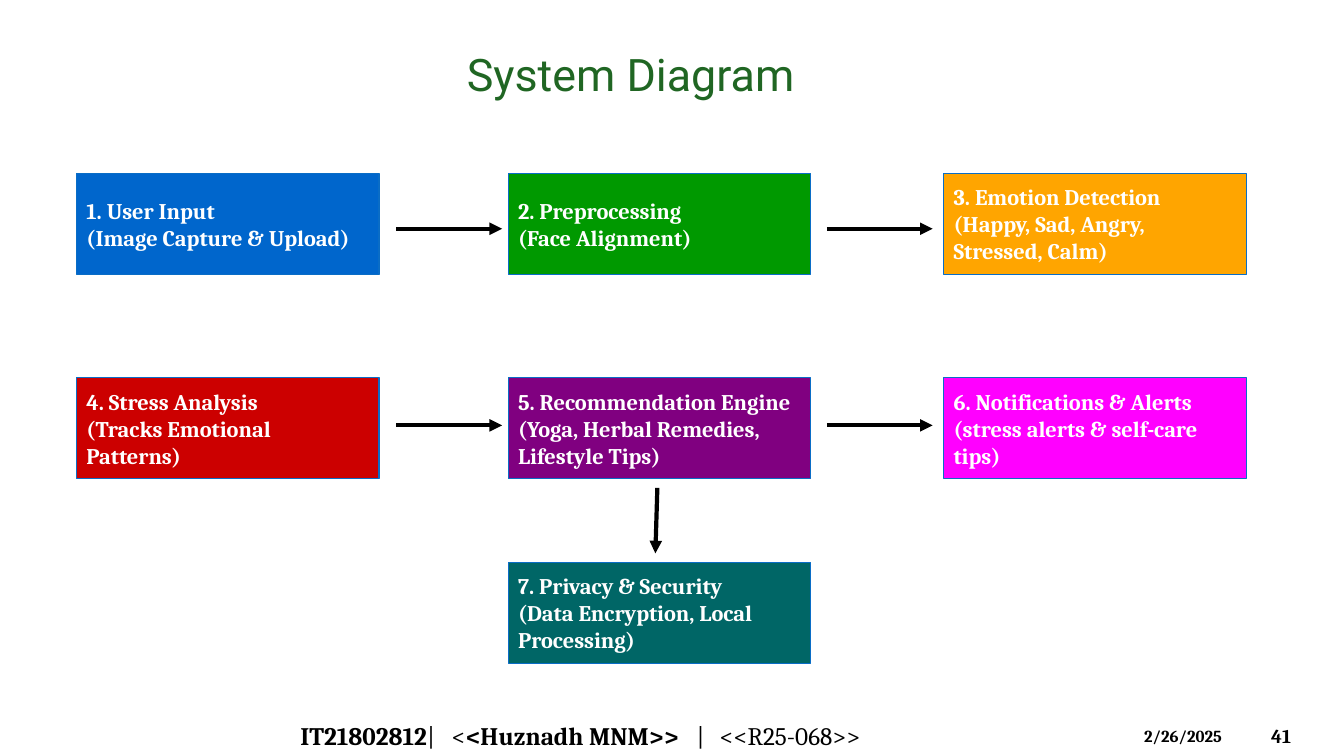
"""Build the System Diagram slide."""
import pptx
import pptx.dml.color
import pptx.enum.shapes
import pptx.enum.text
import pptx.oxml
import pptx.oxml.ns
import pptx.util

SCALE = 9144
ANCHOR = pptx.enum.text.MSO_ANCHOR
ALIGN = pptx.enum.text.PP_ALIGN
SHAPE = pptx.enum.shapes.MSO_SHAPE
LINK = pptx.enum.shapes.MSO_CONNECTOR


def px(*sizes):
    return [pptx.util.Emu(size * SCALE) for size in sizes]


def color(code):
    return pptx.dml.color.RGBColor.from_string(code)


def apply(target, values):
    for name, value in values.items():
        setattr(target, name, value)


def add_xml(parent, tag, attrs="", inner=""):
    space = pptx.oxml.ns.nsdecls("a")
    parent.append(pptx.oxml.parse_xml(f"<a:{tag} {space} {attrs}>{inner}</a:{tag}>"))


class Canvas:
    body = "Cambria"
    black, white, edge, green = "000000", "FFFFFF", "0A6DC6", "206623"

    def __init__(self, deck):
        self.slide = deck.slides.add_slide(deck.slide_layouts[5])

    def style(self, run, size, code, bold=True, name=body):
        apply(run.font, {"size": pptx.util.Pt(size), "name": name, "bold": bold})
        run.font.color.rgb = color(code)

    def title(self, text, *place):
        title = self.slide.shapes.title
        apply(title, dict(zip(("left", "top", "width", "height"), px(*place))))
        frame = title.text_frame
        frame.text = text
        apply(frame, {"vertical_anchor": ANCHOR.TOP, "word_wrap": True})
        line = frame.paragraphs[0]
        line.alignment = ALIGN.LEFT
        self.style(line.runs[0], 32, self.green, False, "Roboto")

    def box(self, text, fill, left, top):
        box = self.slide.shapes.add_shape(SHAPE.RECTANGLE, *px(left, top, 300, 100))
        box.shadow.inherit = False
        box.fill.solid()
        box.fill.fore_color.rgb = color(fill)
        box.line.color.rgb = color(self.edge)
        box.line.width = pptx.util.Pt(0.75)
        frame = box.text_frame
        frame.text = text
        apply(frame, {"vertical_anchor": ANCHOR.MIDDLE, "word_wrap": True})
        for line in frame.paragraphs:
            line.alignment = ALIGN.LEFT
            self.style(line.runs[0], 16, self.white)

    def arrow(self, *ends):
        arrow = self.slide.shapes.add_connector(LINK.STRAIGHT, *px(*ends))
        arrow.line.color.rgb = color(self.black)
        arrow.line.width = pptx.util.Pt(3)
        add_xml(arrow.line._get_or_add_ln(), "tailEnd", 'type="triangle"')
        add_xml(arrow.element.spPr, "effectLst")

    def label(self, parts, size, place, anchor=ANCHOR.MIDDLE, tabs=()):
        frame = self.slide.shapes.add_textbox(*px(*place)).text_frame
        apply(frame, {"vertical_anchor": anchor, "word_wrap": True})
        line = frame.paragraphs[0]
        if tabs:
            stops = "".join(f'<a:tab pos="{stop}" algn="l"/>' for stop in px(*tabs))
            add_xml(line._p.get_or_add_pPr(), "tabLst", inner=stops)
        for text, bold in parts:
            run = line.add_run()
            run.text = text
            self.style(run, size, self.black, bold)


def main():
    deck = pptx.Presentation()
    deck.slide_width, deck.slide_height = px(1333, 750)
    page = Canvas(deck)
    page.title("System Diagram", 453, 41, 483, 64)

    cols, rows = (76, 504, 936), (172, 375, 558)
    steps = [
        ("1. User Input\n(Image Capture & Upload)", "0066CC", 0, 0),
        ("2. Preprocessing\n(Face Alignment)", "009900", 1, 0),
        ("3. Emotion Detection\n(Happy, Sad, Angry, Stressed, Calm)", "FFA500", 2, 0),
        ("4. Stress Analysis\n(Tracks Emotional Patterns)", "CC0000", 0, 1),
        ("5. Recommendation Engine\n(Yoga, Herbal Remedies, Lifestyle Tips)", "800080", 1, 1),
        ("6. Notifications & Alerts\n(stress alerts & self-care tips)", "FF00FF", 2, 1),
        ("7. Privacy & Security\n(Data Encryption, Local Processing)", "006666", 1, 2),
    ]
    for text, fill, col, row in steps:
        page.box(text, fill, cols[col], rows[row])

    for top in (227, 422):
        for left in (393, 820):
            page.arrow(left, top, left + 105, top)
    page.arrow(652, 484, 650, 549)

    owner = [("IT21802812", True), ("|\t<", False),
             ("<Huznadh MNM>>", True), ("\t|\t<<R25-068>>", False)]
    page.label(owner, 18, (288, 710, 745, 40), tabs=(150, 393, 416))
    page.label([("2/26/2025", True)], 12, (1125, 715, 117, 30), ANCHOR.TOP)
    page.label([("41", True)], 14, (1251, 710, 74, 40))
    deck.save("out.pptx")


if __name__ == "__main__":
    main()
